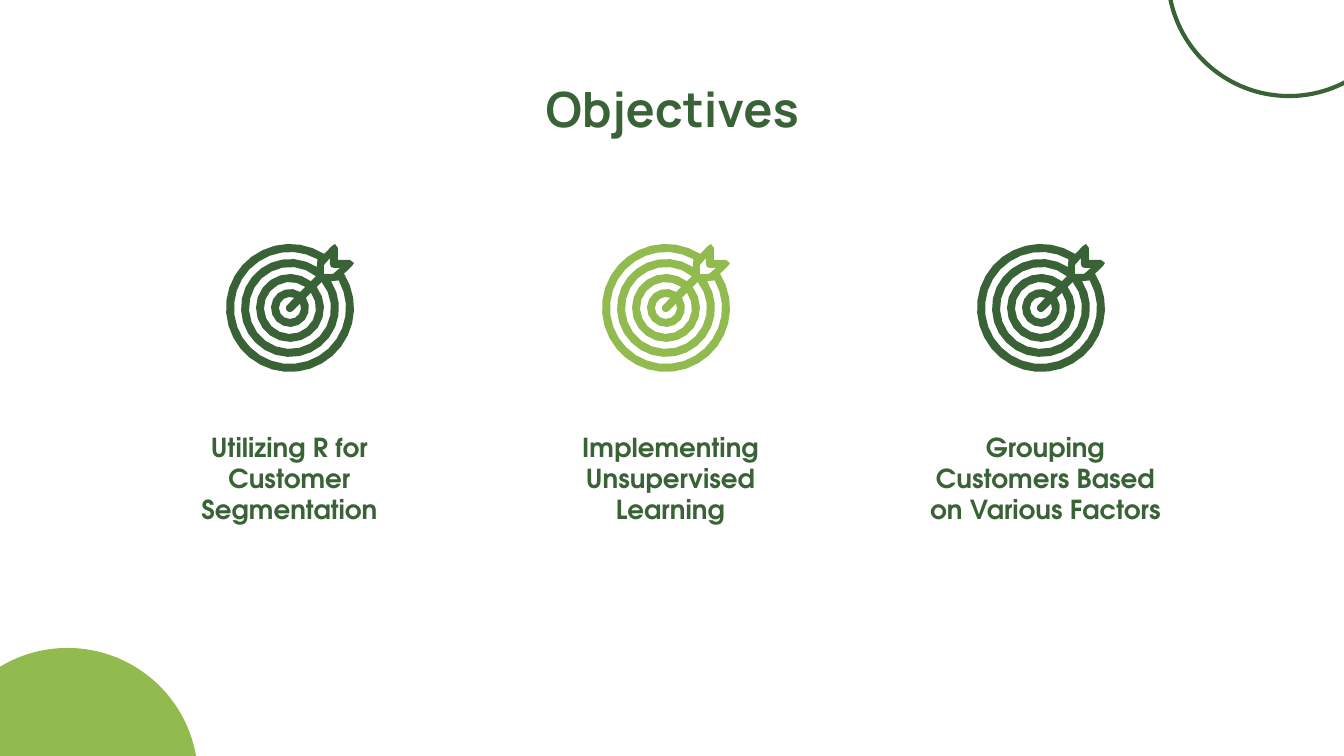
from math import asin, cos, pi, sin

from pptx import Presentation
from pptx.dml.color import RGBColor
from pptx.enum.shapes import MSO_SHAPE as Shape
from pptx.enum.text import MSO_ANCHOR as Anchor, MSO_AUTO_SIZE as AutoSize, PP_ALIGN as Align
from pptx.util import Emu, Pt

PX = 914400 / 134.4
FINE = 10
COLORS = {"forest": "396336", "leaf": "91BA4F"}
HEADING = {"name": "Manrope", "size": Pt(26), "bold": True}
CAPTION = {"name": "TeX Gyre Adventor", "size": Pt(14), "bold": True}

OBJECTIVES = [
    (290, 155, "forest", "Utilizing R for Customer Segmentation"),
    (666, 536, "leaf", "Implementing Unsupervised Learning"),
    (1041, 911, "forest", "Grouping Customers Based on Various Factors"),
]
FLIGHT = [(42, -62), (45, -64), (48, -60), (48, -48),
          (60, -48), (64, -45), (62, -42)]
FLIGHT_GAP = [(34, -34), (34, -43), (40, -50), (40, -44),
              (41, -41), (44, -40), (50, -40), (43, -34)]
RING_GAPS = [(11, 4, 4, 4), (26, 19, 4, 4), (41, 34, 4, 4), (56, 49, 15, 10)]


def px(length):
    return Emu(round(length * PX))


def rgb(color):
    return RGBColor.from_string(COLORS[color])


def write(shape, text, font, anchor):
    frame = shape.text_frame
    settings = {"word_wrap": True, "auto_size": AutoSize.NONE, "vertical_anchor": anchor}
    margins = {f"margin_{side}": px(13) for side in ("left", "top", "right", "bottom")}
    for name, value in {**settings, **margins}.items():
        setattr(frame, name, value)
    para = frame.paragraphs[0]
    para.alignment = Align.CENTER
    span = para.add_run()
    span.text = text
    for name, value in font.items():
        setattr(span.font, name, value)
    span.font.color.rgb = rgb("forest")


def place_title(page, text):
    title = page.shapes.title
    bounds = {"left": 46, "top": 66, "width": 1253, "height": 85}
    for name, value in bounds.items():
        setattr(title, name, px(value))
    write(title, text, HEADING, Anchor.MIDDLE)


def add_circle(page, left, top, size, fill=None, line=None):
    circle = page.shapes.add_shape(Shape.OVAL, px(left), px(top), px(size), px(size))
    circle.shadow.inherit = False
    if fill:
        circle.fill.solid()
        circle.fill.fore_color.rgb = rgb(fill)
    else:
        circle.fill.background()
    if line:
        circle.line.color.rgb = rgb(line)
        circle.line.width = Pt(2.25)
    else:
        circle.line.fill.background()


def open_arc(radius, half_gap):
    opening = asin(half_gap / radius)
    start = opening - pi / 4
    sweep = 2 * (pi - opening)
    steps = 8 + radius // 3
    angles = [start + sweep * step / steps for step in range(steps + 1)]
    return [(radius * cos(angle), radius * sin(angle)) for angle in angles]


def target_contours():
    contours = [open_arc(64, 14) + FLIGHT, FLIGHT_GAP]
    for outer, inner, outer_gap, inner_gap in RING_GAPS:
        contours.append(open_arc(outer, outer_gap) + open_arc(inner, inner_gap)[::-1])
    return contours


def add_target(page, center_x, center_y, color):
    builder = None
    for contour in target_contours():
        points = [(x * FINE, y * FINE) for x, y in contour]
        if builder is None:
            builder = page.shapes.build_freeform(*points[0], scale=PX / FINE)
        else:
            builder.move_to(*points[0])
        builder.add_line_segments(points[1:], close=True)
    target = builder.convert_to_shape(px(center_x), px(center_y))
    target.shadow.inherit = False
    target.fill.solid()
    target.fill.fore_color.rgb = rgb(color)
    target.line.fill.background()


def add_caption(page, left, text):
    box = page.shapes.add_textbox(px(left), px(418), px(269), px(126))
    write(box, text, CAPTION, Anchor.TOP)


def main():
    deck = Presentation()
    deck.slide_width, deck.slide_height = px(1344), px(756)
    page = deck.slides.add_slide(deck.slide_layouts[5])
    add_circle(page, 1168, -146, 242, line="forest")
    add_circle(page, -63, 648, 261, fill="leaf")
    place_title(page, "Objectives")
    for center_x, left, color, text in OBJECTIVES:
        add_target(page, center_x, 308, color)
        add_caption(page, left, text)
    deck.save("out.pptx")


if __name__ == "__main__":
    main()
